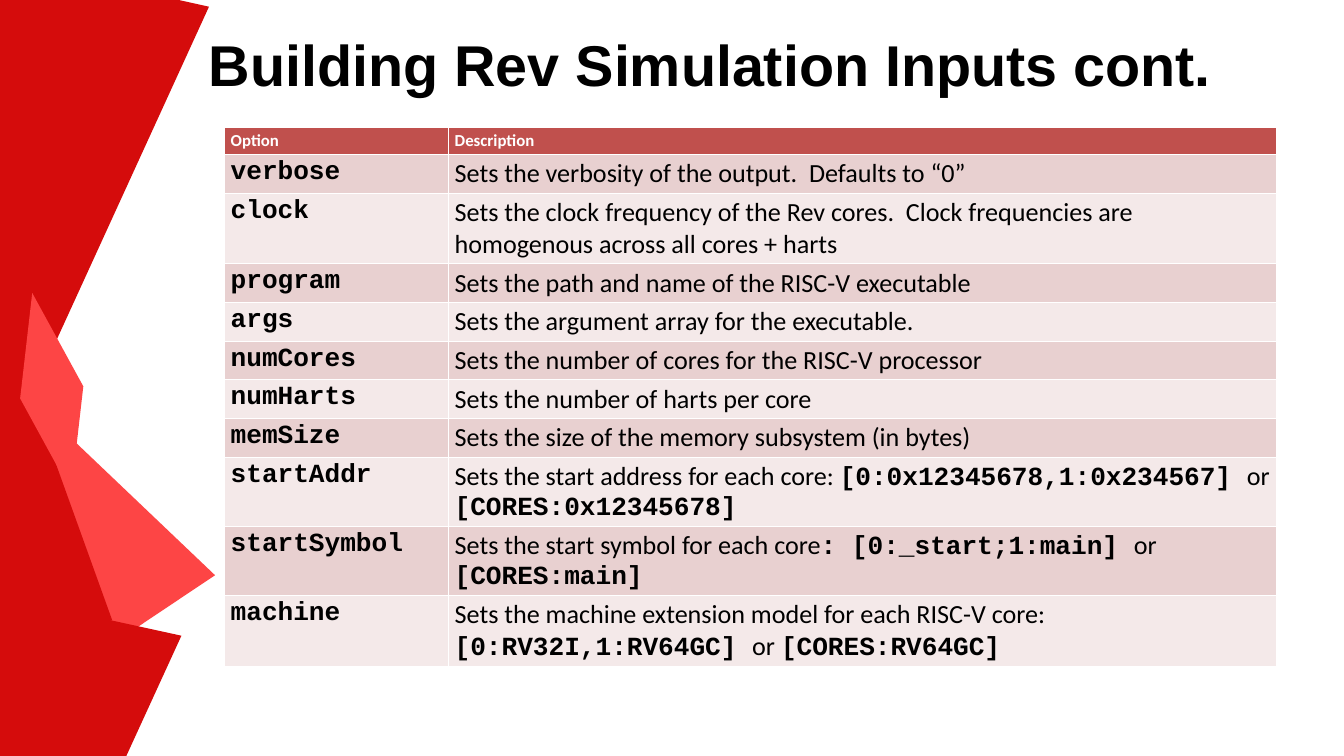
import pptx
import pptx.dml.color
import pptx.enum.text
import pptx.util

WIDTH, HEIGHT = 20, 11.25
COLUMN = WIDTH / 6
RIGHT_EDGE = 5.7 * COLUMN
GRID_STEP = pptx.util.Inches(0.01)

RED, CORAL = "D50C0C", "FD4545"
BLACK, WHITE = "000000", "FFFFFF"
HEADER_FILL = "C0504D"
BAND_FILLS = ("E8D0D0", "F4E9E9")
PROSE_FONT, CODE_FONT, TITLE_FONT = "Calibri", "Courier New", "Arial"

# Outlines in hundredths of an inch, from back to front.
SHARDS = [
    (RED, [(311, 10), (0, 690), (0, 0), (266, 0)]),
    (CORAL, [(320, 856), (175, 953), (25, 575)]),
    (RED, [(167, 923), (2, 960), (0, 937), (0, 459)]),
    (CORAL, [(106, 732), (30, 593), (48, 436), (124, 575)]),
    (RED, [(0, 887), (270, 946), (188, 1125), (0, 1125)]),
]

# Backticks enclose the code in a description.
OPTIONS = [
    ("verbose", "Sets the verbosity of the output.  Defaults to “0”"),
    ("clock", "Sets the clock frequency of the Rev cores.  Clock frequencies are "
              "homogenous across all cores + harts"),
    ("program", "Sets the path and name of the RISC-V executable"),
    ("args", "Sets the argument array for the executable."),
    ("numCores", "Sets the number of cores for the RISC-V processor"),
    ("numHarts", "Sets the number of harts per core"),
    ("memSize", "Sets the size of the memory subsystem (in bytes)"),
    ("startAddr", "Sets the start address for each core: "
                  "`[0:0x12345678,1:0x234567] `or `[CORES:0x12345678]`"),
    ("startSymbol", "Sets the start symbol for each core"
                    "`: [0:_start;1:main] `or `[CORES:main]`"),
    ("machine", "Sets the machine extension model for each RISC-V core: "
                "`[0:RV32I,1:RV64GC] `or `[CORES:RV64GC]`"),
]


def color(hex_string):
    return pptx.dml.color.RGBColor.from_string(hex_string)


def fill_solid(target, hex_string):
    target.fill.solid()
    target.fill.fore_color.rgb = color(hex_string)


def format_font(font, name, size, hex_string, bold):
    font.name = name
    font.size = pptx.util.Pt(size)
    font.bold = bold
    font.color.rgb = color(hex_string)


def add_shards(slide):
    group = slide.shapes.add_group_shape()
    for fill, (start, *others) in SHARDS:
        builder = group.shapes.build_freeform(*start, scale=GRID_STEP)
        builder.add_line_segments(others, close=True)
        shard = builder.convert_to_shape()
        fill_solid(shard, fill)
        shard.line.fill.background()
        shard.shadow.inherit = False


def set_title(slide, text, left, top, width, height):
    title = slide.shapes.title
    title.left, title.top, title.width, title.height = map(
        pptx.util.Inches, (left, top, width, height))
    frame = title.text_frame
    frame.text = text
    frame.word_wrap = True
    frame.auto_size = pptx.enum.text.MSO_AUTO_SIZE.NONE
    frame.vertical_anchor = pptx.enum.text.MSO_ANCHOR.TOP
    frame.margin_left = frame.margin_right = frame.margin_bottom = 0
    frame.margin_top = pptx.util.Inches(0.09)
    paragraph = frame.paragraphs[0]
    paragraph.alignment = pptx.enum.text.PP_ALIGN.LEFT
    format_font(paragraph.runs[0].font, TITLE_FONT, 61.6, BLACK, True)


def write_cell(cell, text, fill):
    """Fill a body cell, setting the parts between backticks as code."""
    fill_solid(cell, fill)
    paragraph = cell.text_frame.paragraphs[0]
    for index, part in enumerate(text.split("`")):
        if part:
            is_code = index % 2 == 1
            run = paragraph.add_run()
            run.text = part
            format_font(run.font, CODE_FONT if is_code else PROSE_FONT,
                        28, BLACK, is_code)


def add_option_table(slide, left, top, width, row_height):
    row_count = len(OPTIONS) + 1
    table = slide.shapes.add_table(row_count, 2, *map(
        pptx.util.Inches, (left, top, width, row_count * row_height))).table
    table.columns[0].width = pptx.util.Inches(COLUMN)
    table.columns[1].width = pptx.util.Inches(width - COLUMN)
    for cell, heading in zip(table.rows[0].cells, ("Option", "Description")):
        fill_solid(cell, HEADER_FILL)
        cell.text_frame.text = heading
        run = cell.text_frame.paragraphs[0].runs[0]
        format_font(run.font, PROSE_FONT, 18, WHITE, True)
    for index, (option, description) in enumerate(OPTIONS):
        fill = BAND_FILLS[index % 2]
        write_cell(table.cell(index + 1, 0), f"`{option}`", fill)
        write_cell(table.cell(index + 1, 1), description, fill)


def main():
    presentation = pptx.Presentation()
    presentation.slide_width = pptx.util.Inches(WIDTH)
    presentation.slide_height = pptx.util.Inches(HEIGHT)
    slide = presentation.slides.add_slide(presentation.slide_layouts[5])
    add_shards(slide)
    set_title(slide, "Building Rev Simulation Inputs cont.",
              3.11, 0.34, RIGHT_EDGE - 3.11, 1.63)
    add_option_table(slide, COLUMN, 1.89, RIGHT_EDGE - COLUMN, 0.41)
    presentation.save("out.pptx")


if __name__ == "__main__":
    main()
